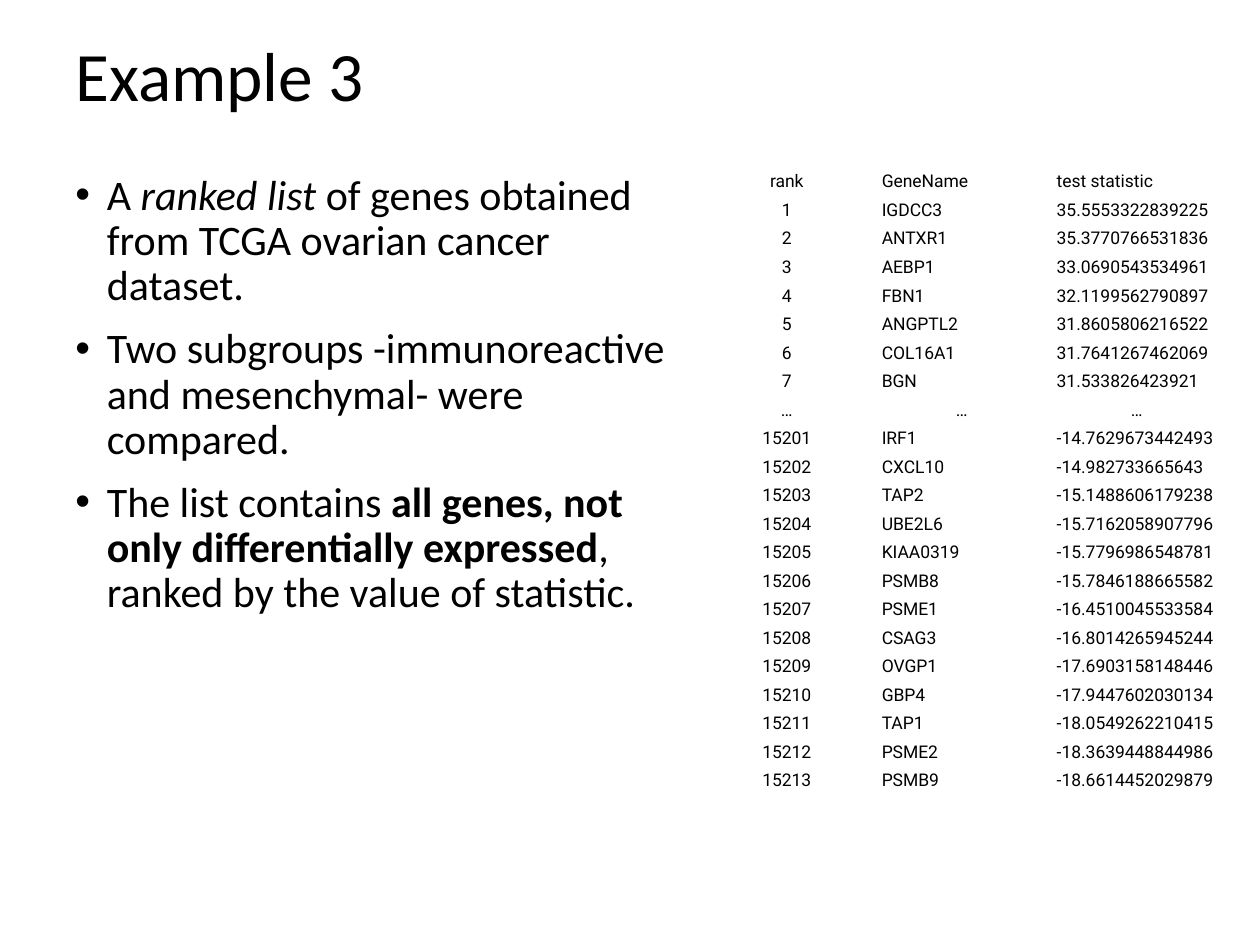
from pptx import Presentation
from pptx.dml.color import RGBColor
from pptx.enum.text import MSO_ANCHOR, MSO_AUTO_SIZE, PP_ALIGN
from pptx.oxml.ns import qn
from pptx.util import Pt
from lxml.etree import SubElement

COLORS = {"text": "000000"}
TITLE = "Example 3"
# Each bullet is a list of (text, style) spans.
BULLETS = [
    [("A ", ""), ("ranked list", "italic"),
     (" of genes obtained from TCGA ovarian cancer dataset.", "")],
    [("Two subgroups -immunoreactive and mesenchymal- were compared.", "")],
    [("The list contains", ""),
     (" all genes, not only differentially expressed", "bold"),
     (", ranked by the value of statistic.", "")],
]
HEADER = ("rank", "GeneName", "test statistic")
GAP = ("…", "…", "…")
TOP_RANK, BOTTOM_RANK = 1, 15201
TOP_GENES = [
    ("IGDCC3", "35.5553322839225"),
    ("ANTXR1", "35.3770766531836"),
    ("AEBP1", "33.0690543534961"),
    ("FBN1", "32.1199562790897"),
    ("ANGPTL2", "31.8605806216522"),
    ("COL16A1", "31.7641267462069"),
    ("BGN", "31.533826423921"),
]
BOTTOM_GENES = [
    ("IRF1", "-14.7629673442493"),
    ("CXCL10", "-14.982733665643"),
    ("TAP2", "-15.1488606179238"),
    ("UBE2L6", "-15.7162058907796"),
    ("KIAA0319", "-15.7796986548781"),
    ("PSMB8", "-15.7846188665582"),
    ("PSME1", "-16.4510045533584"),
    ("CSAG3", "-16.8014265945244"),
    ("OVGP1", "-17.6903158148446"),
    ("GBP4", "-17.9447602030134"),
    ("TAP1", "-18.0549262210415"),
    ("PSME2", "-18.3639448844986"),
    ("PSMB9", "-18.6614452029879"),
]
COLUMN_WIDTH, ROW_HEIGHT = 100, 13.7


def add_span(para, text, size, font_name, style=""):
    span = para.add_run()
    span.text = text
    font = span.font
    font.size, font.name = Pt(size), font_name
    font.bold, font.italic = style == "bold", style == "italic"
    font.color.rgb = RGBColor.from_string(COLORS["text"])


def add_bullet(para, indent):
    properties = para._p.get_or_add_pPr()
    properties.set("marL", str(Pt(indent)))
    properties.set("indent", str(-Pt(indent)))
    SubElement(properties, qn("a:buFont"), typeface="Arial")
    SubElement(properties, qn("a:buChar"), char="•")


def ranked(genes, first_rank):
    return [(str(rank), *gene) for rank, gene in enumerate(genes, first_rank)]


def write_title(page):
    title = page.shapes.title
    title.left, title.top, title.width, title.height = Pt(36), Pt(21.6), Pt(648), Pt(50.4)
    frame = title.text_frame
    frame.auto_size = MSO_AUTO_SIZE.NONE
    frame.vertical_anchor = MSO_ANCHOR.MIDDLE
    para = frame.paragraphs[0]
    para.alignment, para.line_spacing = PP_ALIGN.LEFT, 0.8
    add_span(para, TITLE, 39.6, "Calibri")


def add_bullets(page):
    box = page.shapes.add_textbox(Pt(36), Pt(95.8), Pt(352), Pt(386))
    frame = box.text_frame
    frame.word_wrap = True
    for index, spans in enumerate(BULLETS):
        para = frame.add_paragraph() if index else frame.paragraphs[0]
        para.line_spacing, para.space_before = 0.9, Pt(10)
        add_bullet(para, 18)
        for text, style in spans:
            add_span(para, text, 24, "Calibri", style)


def add_gene_table(page):
    rows = [HEADER, *ranked(TOP_GENES, TOP_RANK), GAP, *ranked(BOTTOM_GENES, BOTTOM_RANK)]
    table = page.shapes.add_table(
        len(rows), len(HEADER), Pt(399.6), Pt(95.8),
        Pt(COLUMN_WIDTH * len(HEADER)), Pt(ROW_HEIGHT * len(rows))).table
    table.first_row = table.horz_banding = False
    for column in table.columns:
        column.width = Pt(COLUMN_WIDTH)
    for row_index, values in enumerate(rows):
        table.rows[row_index].height = Pt(ROW_HEIGHT)
        for column_index, text in enumerate(values):
            cell = table.cell(row_index, column_index)
            cell.fill.background()
            cell.vertical_anchor = MSO_ANCHOR.MIDDLE
            cell.margin_left = cell.margin_right = Pt(4.3)
            cell.margin_top = cell.margin_bottom = Pt(2.15)
            para = cell.text_frame.paragraphs[0]
            centred = column_index == 0 or values == GAP
            para.alignment = PP_ALIGN.CENTER if centred else PP_ALIGN.LEFT
            add_span(para, text, 10, "Roboto")


def main():
    deck = Presentation()
    deck.slide_width, deck.slide_height = Pt(720), Pt(540)
    page = deck.slides.add_slide(deck.slide_layouts.get_by_name("Title Only"))
    write_title(page)
    add_bullets(page)
    add_gene_table(page)
    deck.save("out.pptx")


if __name__ == "__main__":
    main()
